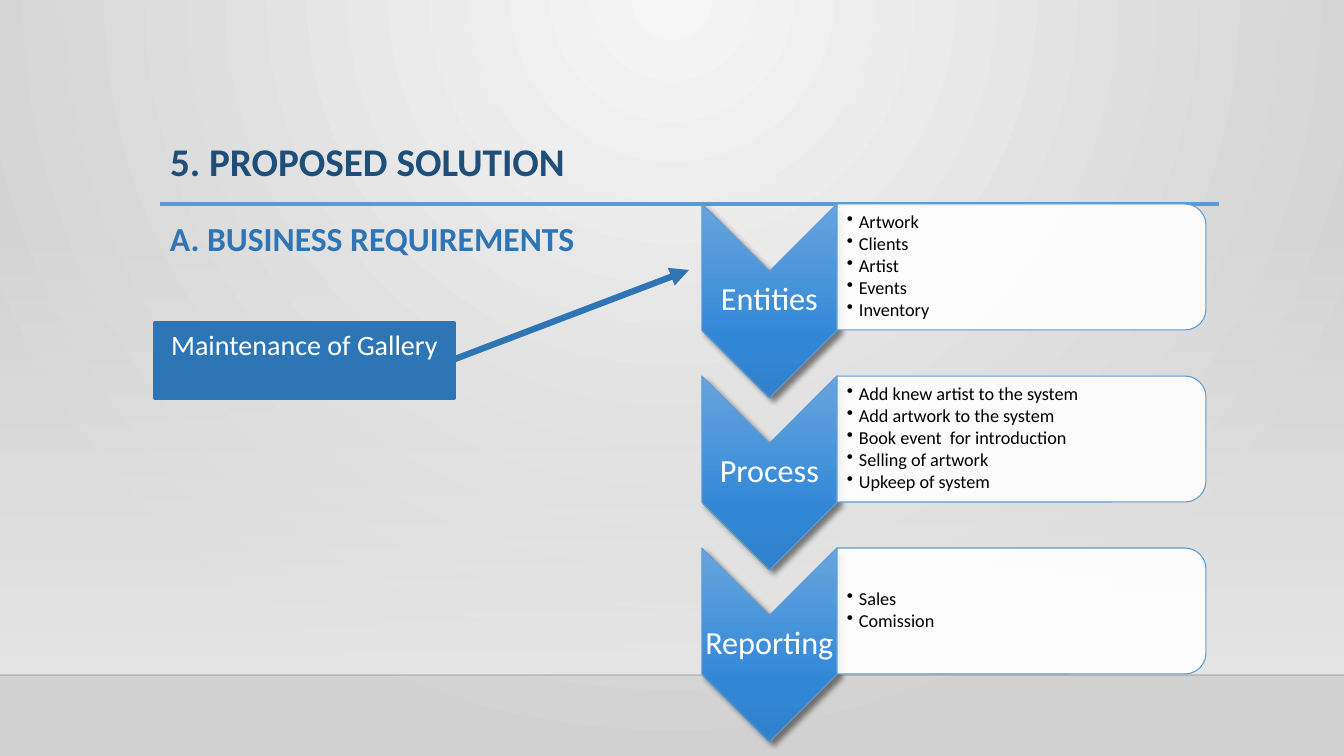
from lxml import etree
from pptx import Presentation, util as u
from pptx.dml.color import RGBColor
from pptx.enum import shapes, text
from pptx.oxml.ns import qn

SCALE = 914400 / 100.8
COLORS = {
    "glow": "F6F6F6", "edge": "D2D1D1", "wall": "E7E6E6", "black": "000000",
    "white": "FFFFFF", "rule": "5B9BD5", "navy": "1F4E79", "blue": "2E75B6",
    "light": "67A4DE", "middle": "3288D7", "deep": "3281C9",
}
KINDS = shapes.MSO_SHAPE
LEFT, CENTER = text.PP_ALIGN.LEFT, text.PP_ALIGN.CENTER
TOP, MIDDLE = text.MSO_ANCHOR.TOP, text.MSO_ANCHOR.MIDDLE


def px(value):
    return round(value * SCALE)


def add(parent, tag, **attributes):
    values = {name: str(value) for name, value in attributes.items()}
    return etree.SubElement(parent, qn(tag), values)


class SlideBuilder:
    font = "Calibri"

    def __init__(self, slide):
        self.slide = slide

    def color(self, name):
        return RGBColor.from_string(COLORS[name])

    def alpha(self, element, percent):
        add(element.find(".//" + qn("a:srgbClr")), "a:alpha", val=percent * 1000)

    def gradient(self, fill, element, stops, angle=None):
        fill.gradient()
        grad = element.find(".//" + qn("a:gradFill"))
        for child in list(grad):
            grad.remove(child)
        stop_list = add(grad, "a:gsLst")
        for position, name, opacity in stops:
            stop = add(stop_list, "a:gs", pos=position * 1000)
            add(stop, "a:srgbClr", val=COLORS[name])
            if opacity < 100:
                self.alpha(stop, opacity)
        if angle is None:
            circle = add(grad, "a:path", path="circle")
            add(circle, "a:fillToRect", l=43000, t=0, r=43000, b=100000)
        else:
            add(grad, "a:lin", ang=angle * 60000, scaled=0)

    def background(self, stops):
        self.gradient(self.slide.background.fill, self.slide._element, stops)

    def shape(self, kind, x, y, w, h, fill=None, line=None, width=0.75,
              opacity=100, stops=None, angle=0, turned=False):
        if turned:
            x, y, w, h = x + (w - h) / 2, y + (h - w) / 2, h, w
        shape = self.slide.shapes.add_shape(kind, px(x), px(y), px(w), px(h))
        shape.rotation = 90 if turned else 0
        shape.shadow.inherit = False
        properties = shape._element.spPr
        if stops:
            self.gradient(shape.fill, properties, stops, angle)
        else:
            shape.fill.solid()
            shape.fill.fore_color.rgb = self.color(fill)
            if opacity < 100:
                self.alpha(properties.find(qn("a:solidFill")), opacity)
        if line:
            shape.line.color.rgb = self.color(line)
            shape.line.width = u.Pt(width)
        else:
            shape.line.fill.background()
        return shape

    def shadow(self, shape):
        effects = shape._element.spPr.find(qn("a:effectLst"))
        outer = add(effects, "a:outerShdw", blurRad=u.Pt(4), dist=u.Pt(4),
                    dir=45 * 60000, algn="ctr", rotWithShape=0)
        add(outer, "a:srgbClr", val=COLORS["black"])
        self.alpha(outer, 48)

    def line(self, start, end, color, width, opacity=100, arrow=False):
        line = self.slide.shapes.add_connector(
            shapes.MSO_CONNECTOR.STRAIGHT, *map(px, start + end))
        line.line.color.rgb = self.color(color)
        line.line.width = u.Pt(width)
        properties = line._element.spPr
        if opacity < 100:
            self.alpha(properties, opacity)
        if arrow:
            add(properties.find(qn("a:ln")), "a:tailEnd", type="triangle")
        add(properties, "a:effectLst")

    def set_text(self, shape, lines, size, color, bold=False, align=LEFT,
                 anchor=TOP, spacing=1.0, before=0, after=0,
                 insets=(10, 5, 10, 5), bullets=False):
        frame = shape.text_frame
        frame.word_wrap = True
        frame.auto_size = text.MSO_AUTO_SIZE.NONE
        frame.vertical_anchor = anchor
        (frame.margin_left, frame.margin_top,
         frame.margin_right, frame.margin_bottom) = map(px, insets)
        frame.text = "\n".join(lines)
        for paragraph in frame.paragraphs:
            paragraph.alignment = align
            paragraph.line_spacing = spacing
            paragraph.space_before = u.Pt(before)
            paragraph.space_after = u.Pt(after)
            if bullets:
                properties = paragraph._p.get_or_add_pPr()
                properties.set("marL", str(px(12)))
                properties.set("indent", str(-px(12)))
                add(properties, "a:buChar", char="•")
            font = paragraph.font
            font.name, font.size, font.bold = self.font, u.Pt(size), bold
            font.color.rgb = self.color(color)

    def title(self, x, y, w, h, words, **style):
        title = self.slide.shapes.title
        title.left, title.top, title.width, title.height = map(px, (x, y, w, h))
        self.set_text(title, [words], **style)

    def label(self, x, y, w, h, lines, **style):
        box = self.slide.shapes.add_textbox(*map(px, (x, y, w, h)))
        self.set_text(box, lines, **style)


presentation = Presentation()
presentation.slide_width, presentation.slide_height = px(1344), px(756)
page = SlideBuilder(presentation.slides.add_slide(presentation.slide_layouts[5]))

page.background([(0, "glow", 100), (100, "edge", 100)])
page.shape(KINDS.RECTANGLE, 0, 223, 1344, 452,
           stops=[(0, "wall", 0), (100, "wall", 100)], angle=90)
page.line((0, 675), (1344, 675), "black", 1, opacity=20)
page.line((160, 204), (1219, 204), "rule", 2.5)
page.title(160, 138, 1058, 66, "5. PROPOSED SOLUTION",
           size=28, color="navy", bold=True, spacing=0.9)
page.label(160, 205, 529, 380, ["A. BUSINESS REQUIREMENTS"],
           size=24, color="blue", bold=True, spacing=1.2, before=10)

requirements = {
    "Entities": ["Artwork", "Clients", "Artist", "Events", "Inventory"],
    "Process": ["Add knew artist to the system", "Add artwork to the system",
                "Book event  for introduction", "Selling of artwork",
                "Upkeep of system"],
    "Reporting": ["Sales", "Comission"],
}
chevron_stops = [(0, "light", 100), (69, "middle", 100), (100, "deep", 100)]
for row, (stage, details) in enumerate(requirements.items()):
    top = 204 + 172 * row
    chevron = page.shape(KINDS.CHEVRON, 702, top, 135, 194, line="rule",
                         stops=chevron_stops, turned=True)
    page.shadow(chevron)
    page.label(702, top + 68, 135, 57, [stage], size=23, color="white",
               align=CENTER, anchor=MIDDLE, spacing=0.9, insets=(2, 2, 2, 2))
    page.shape(KINDS.ROUND_2_SAME_RECTANGLE, 837, top, 369, 126, fill="white",
               line="rule", opacity=90, turned=True)
    page.label(837, top + 6, 363, 113, details, size=13, color="black",
               anchor=MIDDLE, spacing=0.9, after=1.7, insets=(10, 1, 1, 1),
               bullets=True)

page.line((455, 359), (689, 270), "blue", 4.5, arrow=True)
gallery = page.shape(KINDS.RECTANGLE, 155, 323, 299, 75, fill="blue",
                     line="blue", width=3)
page.set_text(gallery, ["Maintenance of Gallery"], size=20, color="white",
              align=CENTER)

presentation.save("out.pptx")
